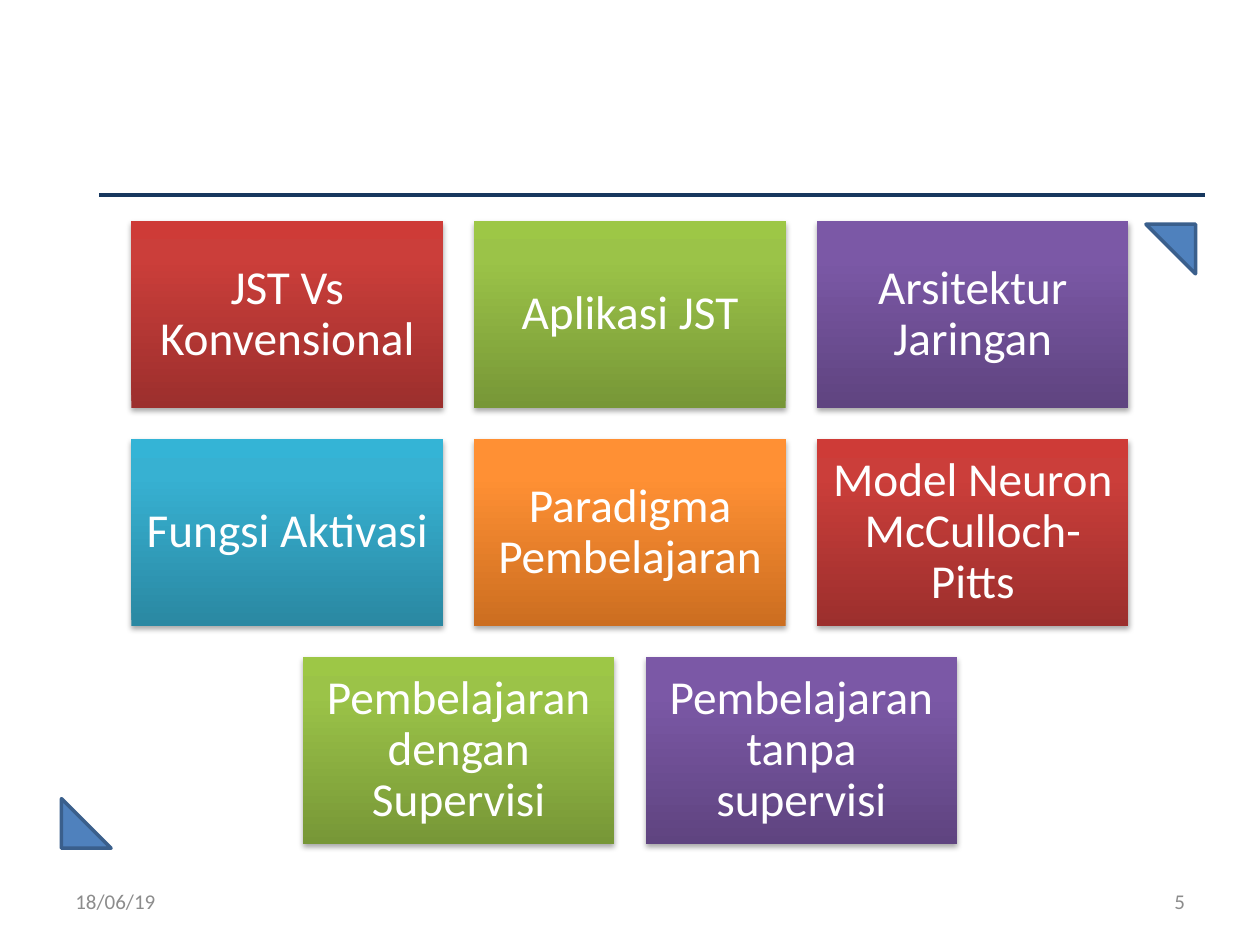
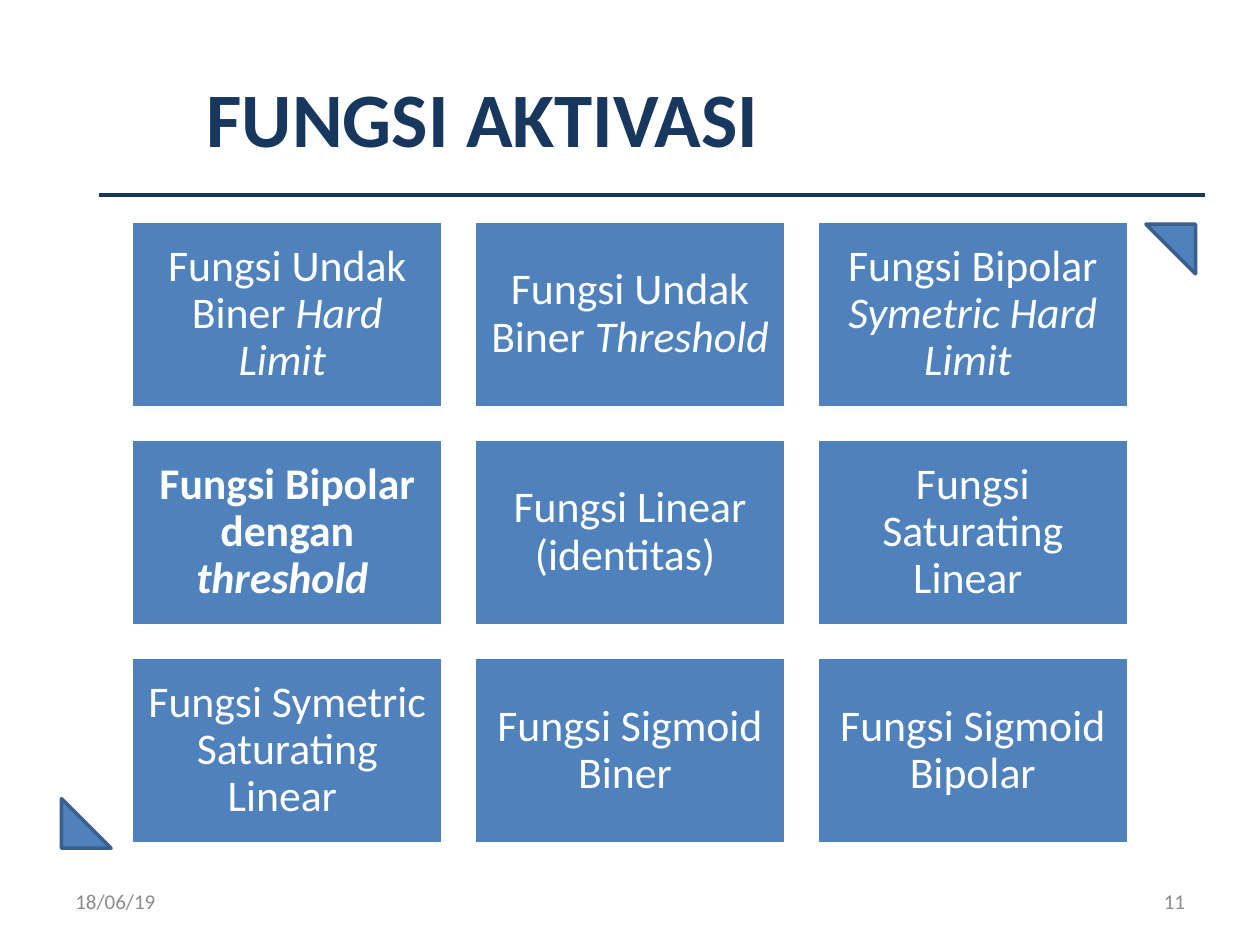
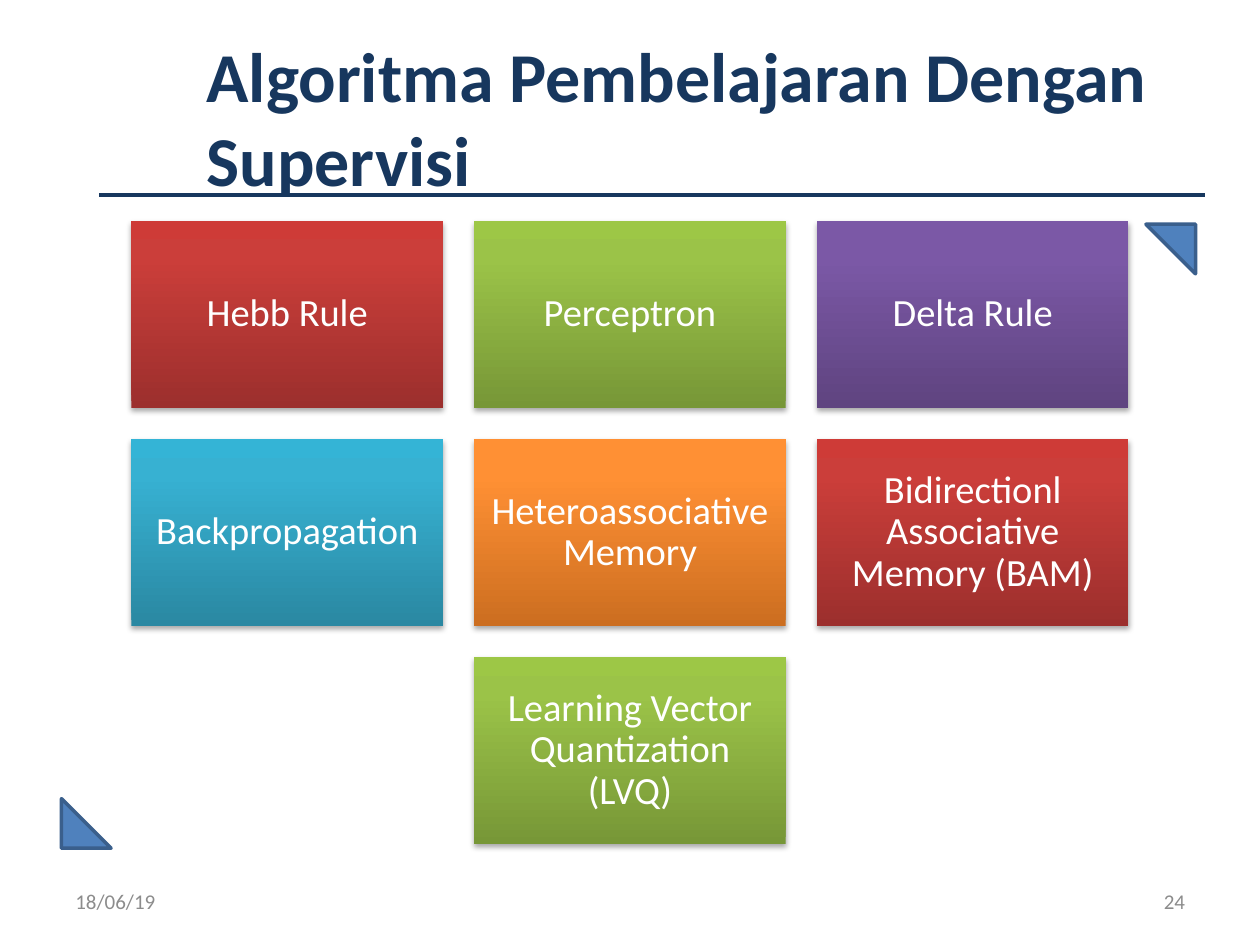
from lxml import etree
from pptx import Presentation
from pptx import util as u
from pptx.dml.color import RGBColor
from pptx.enum import shapes, text
from pptx.oxml import ns

NAVY, BLUE, EDGE, WHITE, GREY = "17375E", "4F81BD", "3A5F8C", "FFFFFF", "8C8C8C"
# Gradient stops at 0, 80 and 100 percent, from the bottom up
RED = ("9C2F2D", "CB3E3A", "CE3B37")
GREEN = ("779737", "9BC348", "9DC746")
PURPLE = ("5F4480", "7B58A6", "7C57A8")
CYAN = ("2A88A2", "37B1D2", "34B4D6")
ORANGE = ("CC6E20", "FF9034", "FF9136")
CYCLE = (RED, GREEN, PURPLE, CYAN, ORANGE)

# Regions in cm: left, top, width, height
TITLE = (3.91, 0.76, 20.22, 3.18)
GRID = (2.65, 4.45, 20.1)
DATE = (1.27, 17.65, 5.93, 1.02)
PAGE = (18.21, 17.65, 5.93, 1.02)


def ink(code):
    return RGBColor.from_string(code)


def place(box):
    return [u.Cm(n) for n in box]


def node(parent, tag, **attrs):
    item = etree.SubElement(parent, ns.qn(tag))
    for key, val in attrs.items():
        item.set(key, str(val))
    return item


def write(frame, runs, size, color, align, bold=False, inset=None):
    """Fill a text frame; runs are (text, format dict) pairs."""
    form = {"word_wrap": True, "auto_size": text.MSO_AUTO_SIZE.NONE,
            "vertical_anchor": text.MSO_ANCHOR.MIDDLE}
    if inset is not None:
        form.update({"margin_" + side: inset
                     for side in ("left", "right", "top", "bottom")})
    for key, val in form.items():
        setattr(frame, key, val)
    para = frame.paragraphs[0]
    para.alignment = align
    for words, extra in runs:
        run = para.add_run()
        run.text = words
        look = {"name": "Calibri", "size": u.Pt(size), "bold": bold, **extra}
        for key, val in look.items():
            setattr(run.font, key, val)
        run.font.color.rgb = ink(color)
    return para


def shade(shape, stops):
    """Vertical gradient with a soft shadow below."""
    props = shape.element.spPr
    shape.fill.gradient()
    grad = props.find(ns.qn("a:gradFill"))
    for child in list(grad):
        grad.remove(child)
    ramp = node(grad, "a:gsLst")
    for pos, code in zip((0, 80000, 100000), stops):
        node(node(ramp, "a:gs", pos=pos), "a:srgbClr", val=code)
    node(grad, "a:lin", ang=16200000, scaled=0)
    glow = node(props.find(ns.qn("a:effectLst")), "a:outerShdw", blurRad=40000,
                dist=23000, dir=5400000, rotWithShape=0)
    node(node(glow, "a:srgbClr", val="000000"), "a:alpha", val=35000)


def frame_layout(layout, slide):
    """Rule and corner triangles, moved to the layout that all slides share."""
    rule = slide.shapes.add_connector(shapes.MSO_CONNECTOR.STRAIGHT,
                                      *place((2, 3.94, 24.3, 3.94)))
    rule.line.color.rgb, rule.line.width = ink(NAVY), u.Pt(2.25)
    node(rule.element.spPr, "a:effectLst")
    parts = [rule]
    for left, top, turn in ((1.24, 16.1, 0), (23.1, 4.52, 180)):
        tri = slide.shapes.add_shape(shapes.MSO_SHAPE.RIGHT_TRIANGLE,
                                     *place((left, top, 1, 1)))
        tri.rotation, tri.shadow.inherit = turn, False
        tri.fill.solid()
        tri.fill.fore_color.rgb = ink(BLUE)
        tri.line.color.rgb, tri.line.width = ink(EDGE), u.Pt(2)
        parts.append(tri)
    for part in parts:
        layout.shapes.element.append(part.element)


def head(slide, words, size):
    title = slide.shapes.title
    if not words:
        title.element.getparent().remove(title.element)
        return
    title.left, title.top, title.width, title.height = place(TITLE)
    write(title.text_frame, [(words, {})], size, NAVY, text.PP_ALIGN.LEFT, True)


def foot(slide, page):
    for box, words, align in ((DATE, "18/06/19", text.PP_ALIGN.LEFT),
                              (PAGE, page, text.PP_ALIGN.RIGHT)):
        area = slide.shapes.add_textbox(*place(box))
        write(area.text_frame, [(words, {})], 12, GREY, align)


def tiles(slide, box, items, size, vivid):
    """Rows of three tiles; a short last row is centred."""
    left, top, width = box
    wide = width / 3.2
    high, gap = wide * 0.6, wide * 0.1
    for i, item in enumerate(items):
        row, col = divmod(i, 3)
        count = min(3, len(items) - row * 3)
        start = left + (3 - count) * (wide + gap) / 2
        tile = slide.shapes.add_shape(
            shapes.MSO_SHAPE.RECTANGLE,
            *place((start + col * (wide + gap), top + row * (high + gap), wide, high)))
        tile.shadow.inherit = False
        if vivid:
            tile.line.fill.background()
            shade(tile, CYCLE[i % len(CYCLE)])
        else:
            tile.fill.solid()
            tile.fill.fore_color.rgb = ink(BLUE)
            tile.line.color.rgb, tile.line.width = ink(WHITE), u.Pt(2)
        runs = [(item, {})] if isinstance(item, str) else item
        para = write(tile.text_frame, runs, size, WHITE, text.PP_ALIGN.CENTER,
                     inset=u.Pt(size * 0.3))
        para.line_spacing = 0.9


SLANT, BOLD = {"italic": True}, {"bold": True}
TOPICS = ["JST Vs Konvensional", "Aplikasi JST", "Arsitektur Jaringan",
          "Fungsi Aktivasi", "Paradigma Pembelajaran",
          "Model Neuron McCulloch-Pitts", "Pembelajaran dengan Supervisi",
          "Pembelajaran tanpa supervisi"]
CURVES = [
    [("Fungsi Undak Biner ", {}), ("Hard Limit ", SLANT)],
    [("Fungsi Undak Biner ", {}), ("Threshold ", SLANT)],
    [("Fungsi Bipolar ", {}), ("Symetric Hard Limit ", SLANT)],
    [("Fungsi Bipolar dengan ", BOLD), ("threshold ", {**BOLD, **SLANT})],
    "Fungsi Linear (identitas) ", "Fungsi Saturating Linear ",
    "Fungsi Symetric Saturating Linear ", "Fungsi Sigmoid Biner ",
    "Fungsi Sigmoid Bipolar"]
RULES = ["Hebb Rule", "Perceptron", "Delta Rule", "Backpropagation",
         "Heteroassociative Memory", "Bidirectionl Associative Memory (BAM)",
         "Learning Vector Quantization (LVQ)"]

# Title, title size, tiles, tile text size, gradient tiles, page number
DECK = [("", 44, TOPICS, 27, True, "5"),
        ("FUNGSI AKTIVASI", 44, CURVES, 25, False, "11"),
        ("Algoritma Pembelajaran Dengan Supervisi ", 40, RULES, 22, True, "24")]

prs = Presentation()
prs.slide_width, prs.slide_height = u.Cm(25.4), u.Cm(19.05)
layout = prs.slide_layouts[5]
for n, (title, big, items, size, vivid, page) in enumerate(DECK):
    slide = prs.slides.add_slide(layout)
    if n == 0:
        frame_layout(layout, slide)
    head(slide, title, big)
    tiles(slide, GRID, items, size, vivid)
    foot(slide, page)
prs.save("out.pptx")
